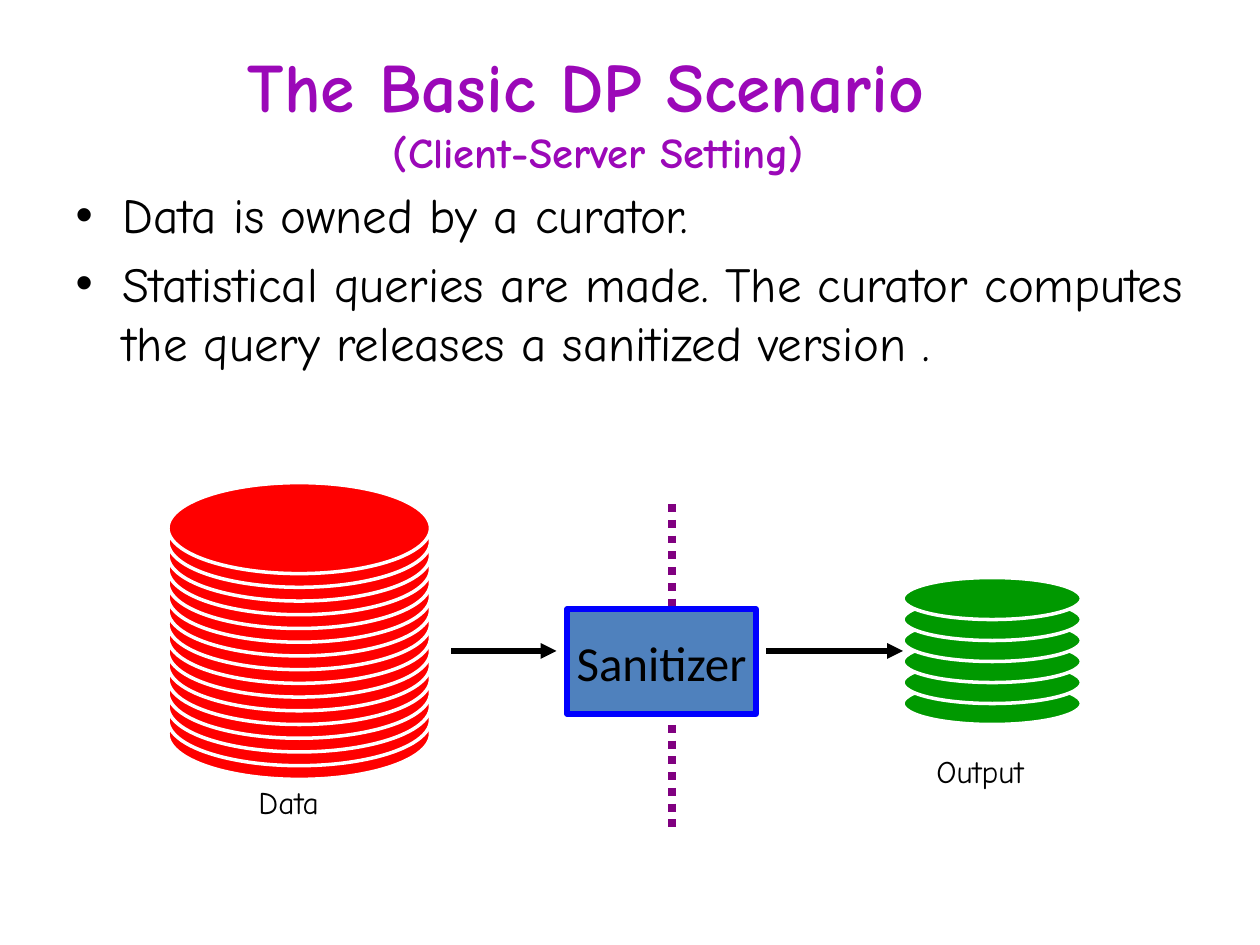
from lxml import etree
from pptx import Presentation, util as u
from pptx.dml.color import RGBColor
from pptx.enum import dml, shapes, text
from pptx.oxml.ns import qn

Pt = u.Pt
MID, LEFT = text.PP_ALIGN.CENTER, text.PP_ALIGN.LEFT
HAND, SANS = "Comic Neue", "Calibri"
HUE = {"title": "9B08B8", "ink": "000000", "data": "FF0000", "output": "009900",
       "edge": "FFFFFF", "wall": "800080", "box": "4F81BD", "frame": "0000FF"}

# Content; lengths in points
TITLE = [("The Basic DP Scenario ", 39.6), ("(Client-Server Setting)", 24.3)]
POINTS = ["Data is owned by a curator.",
          "Statistical queries are made. The curator computes the query "
          "releases a sanitized version ."]
# colour, left, top of lowest disc, width, height, rise, count
STACKS = [("output", 516, 390, 102, 24, 12, 6),
          ("data", 96, 393.4, 150, 52, 7.84, 16)]
# x1, y1, x2, y2, colour, weight, dash, arrow
LINES = [(384, 288, 384, 474, "wall", 4.5, dml.MSO_LINE.ROUND_DOT, False),
         (438, 372, 516, 372, "ink", 3, None, True),
         (258, 372, 318, 372, "ink", 3, None, True)]
LABELS = [("Output", (528, 426, 162, 46), LEFT),
          ("Data", (72, 444, 186, 46), MID)]


def rgb(name):
    return RGBColor.from_string(HUE[name])


def put(obj, **vals):
    for key, val in vals.items():
        setattr(obj, key, val)


def place(shape, left, top, width, height):
    put(shape, left=Pt(left), top=Pt(top), width=Pt(width), height=Pt(height))


def write(par, words, size, hue="ink", face=HAND, **more):
    run = par.add_run()
    run.text = words
    put(run.font, size=Pt(size), name=face, **more)
    run.font.color.rgb = rgb(hue)


def solid(kids, kind, area, fill, edge, weight):
    shape = kids.add_shape(kind, *map(Pt, area))
    shape.shadow.inherit = False
    shape.fill.solid()
    shape.fill.fore_color.rgb = rgb(fill)
    shape.line.color.rgb = rgb(edge)
    shape.line.width = Pt(weight)
    return shape


def stack(hue, left, top, width, height, rise, count):
    group = slide.shapes.add_group_shape()
    for i in range(count):
        area = (left, top - i * rise, width, height)
        solid(group.shapes, shapes.MSO_SHAPE.OVAL, area, hue, "edge", 2)


def link(x1, y1, x2, y2, hue, weight, dash, arrow):
    line = slide.shapes.add_connector(shapes.MSO_CONNECTOR.STRAIGHT,
                                      *map(Pt, (x1, y1, x2, y2)))
    put(line.line, width=Pt(weight), dash_style=dash)
    line.line.color.rgb = rgb(hue)
    if arrow:
        etree.SubElement(line.line._get_or_add_ln(), qn("a:tailEnd"), type="triangle")
    etree.SubElement(line._element.spPr, qn("a:effectLst"))


deck = Presentation()
put(deck, slide_width=Pt(720), slide_height=Pt(540))
slide = deck.slides.add_slide(deck.slide_layouts[1])

# Title and subtitle line
head, body = slide.shapes.title, slide.placeholders[1]
place(head, 18, 18, 648, 90)
put(head.text_frame, auto_size=text.MSO_AUTO_SIZE.NONE,
    vertical_anchor=text.MSO_ANCHOR.MIDDLE)
par = head.text_frame.paragraphs[0]
par.alignment = MID
for i, (words, size) in enumerate(TITLE):
    if i:
        par.add_line_break()
    write(par, words, size, "title", bold=True)

# Bullets
place(body, 36, 102, 648, 380)
body.text_frame.auto_size = text.MSO_AUTO_SIZE.NONE
for i, words in enumerate(POINTS):
    par = body.text_frame.add_paragraph() if i else body.text_frame.paragraphs[0]
    write(par, words, 28)

# Disc stacks, dividing wall and arrows
for row in STACKS:
    stack(*row)
for row in LINES:
    link(*row)

# Sanitizer box, in front of the wall
box = solid(slide.shapes, shapes.MSO_SHAPE.RECTANGLE, (324, 348, 108, 60),
            "box", "frame", 3)
put(box.text_frame, word_wrap=False, vertical_anchor=text.MSO_ANCHOR.MIDDLE)
par = box.text_frame.paragraphs[0]
par.alignment = MID
write(par, "Sanitizer", 28, face=SANS)

# Captions
for words, area, align in LABELS:
    note = slide.shapes.add_textbox(*map(Pt, area))
    note.text_frame.word_wrap = True
    par = note.text_frame.paragraphs[0]
    par.alignment = align
    write(par, words, 18)

deck.save("out.pptx")
